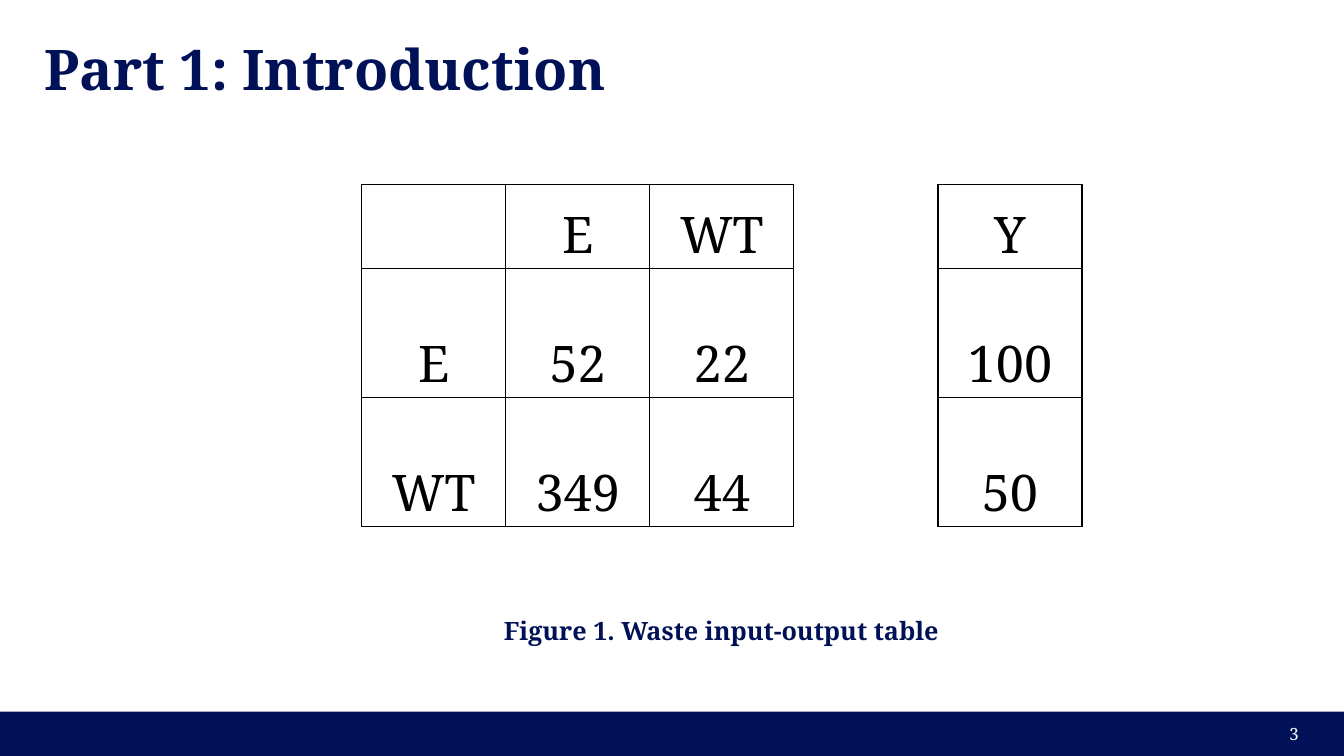
from lxml.etree import SubElement
from pptx import Presentation
from pptx.dml.color import RGBColor
from pptx.enum.shapes import MSO_SHAPE
from pptx.enum.text import MSO_ANCHOR, PP_ALIGN
from pptx.oxml.ns import qn
from pptx.util import Inches, Pt

FONT = "Noto Serif"
COLORS = {"navy": "001158", "white": "FFFFFF", "black": "000000"}
GAP_COLUMN = 3
WASTE_ROWS = [
    ["", "E", "WT", "", "Y"],
    ["E", "52", "22", "", "100"],
    ["WT", "349", "44", "", "50"],
]
ROW_HEIGHTS = [0.83, 1.28, 1.28]


def color(name):
    return RGBColor.from_string(COLORS[name])


def add_run(paragraph, text, size, color_name, bold=False):
    run = paragraph.add_run()
    run.text = text
    run.font.name = FONT
    run.font.size = Pt(size)
    run.font.bold = bold
    run.font.color.rgb = color(color_name)


def add_text(slide, box, text, size, color_name, bold=False,
             align=PP_ALIGN.LEFT, anchor=MSO_ANCHOR.MIDDLE, inset=None):
    shape = slide.shapes.add_textbox(*map(Inches, box))
    frame = shape.text_frame
    frame.word_wrap = True
    frame.vertical_anchor = anchor
    if inset is not None:
        frame.margin_left = frame.margin_right = Inches(inset)
        frame.margin_top = frame.margin_bottom = Inches(inset)
    paragraph = frame.paragraphs[0]
    paragraph.alignment = align
    add_run(paragraph, text, size, color_name, bold)


def set_borders(cell, visible_sides):
    properties = cell._tc.get_or_add_tcPr()
    for side in "LRTB":
        line = SubElement(properties, qn(f"a:ln{side}"), w=str(Pt(1)))
        if side in visible_sides:
            fill = SubElement(line, qn("a:solidFill"))
            SubElement(fill, qn("a:srgbClr"), val=COLORS["black"])
        else:
            SubElement(line, qn("a:noFill"))


def add_footer(slide, box, number):
    left, top, width, height = box
    # Navy band
    band = slide.shapes.add_shape(MSO_SHAPE.RECTANGLE, *map(Inches, box))
    band.shadow.inherit = False
    band.fill.solid()
    band.fill.fore_color.rgb = color("navy")
    band.line.fill.background()
    # Page number
    number_box = (left + width - 3.35, top + 0.02, 3, height - 0.04)
    add_text(slide, number_box, number, 12, "white", align=PP_ALIGN.RIGHT)


def add_waste_table(slide, box):
    width = box[2]
    column_count = len(WASTE_ROWS[0])
    frame = slide.shapes.add_table(len(WASTE_ROWS), column_count, *map(Inches, box))
    table = frame.table
    table.first_row = table.horz_banding = False
    for column in table.columns:
        column.width = Inches(width / column_count)
    for row, height in zip(table.rows, ROW_HEIGHTS):
        row.height = Inches(height)

    # Cells: the gap column has side borders only
    for row_index, values in enumerate(WASTE_ROWS):
        for column_index, value in enumerate(values):
            cell = table.cell(row_index, column_index)
            set_borders(cell, "LR" if column_index == GAP_COLUMN else "LRTB")
            cell.fill.background()
            cell.vertical_anchor = MSO_ANCHOR.BOTTOM
            cell.margin_left = cell.margin_right = Inches(0.07)
            cell.margin_top = cell.margin_bottom = 0
            if value:
                paragraph = cell.text_frame.paragraphs[0]
                paragraph.alignment = PP_ALIGN.CENTER
                paragraph.line_spacing = 1.07
                add_run(paragraph, value, 36, "black")
    table.cell(0, GAP_COLUMN).merge(table.cell(len(WASTE_ROWS) - 1, GAP_COLUMN))


def add_table_slide(presentation, box):
    left, top, width, height = box
    slide = presentation.slides.add_slide(presentation.slide_layouts[6])
    slide.background.fill.solid()
    slide.background.fill.fore_color.rgb = color("white")
    # Footer and title
    add_footer(slide, (left, top + height - 0.44, width, 0.44), "3")
    add_text(slide, (left + 0.44, top + 0.44, width - 0.88, 0.47),
             "Part 1: Introduction", 40, "navy", bold=True, inset=0)
    # Caption and table
    add_text(slide, (left + 2, top + 6.06, 10.32, 0.4),
             "Figure 1. Waste input-output table", 18, "navy", bold=True,
             align=PP_ALIGN.CENTER, anchor=MSO_ANCHOR.TOP)
    add_waste_table(slide, (left + 3.59, top + 1.83, 7.15, sum(ROW_HEIGHTS)))


presentation = Presentation()
presentation.slide_width = Inches(13.34)
presentation.slide_height = Inches(7.5)
add_table_slide(presentation, (0, 0, 13.34, 7.5))
presentation.save("out.pptx")
